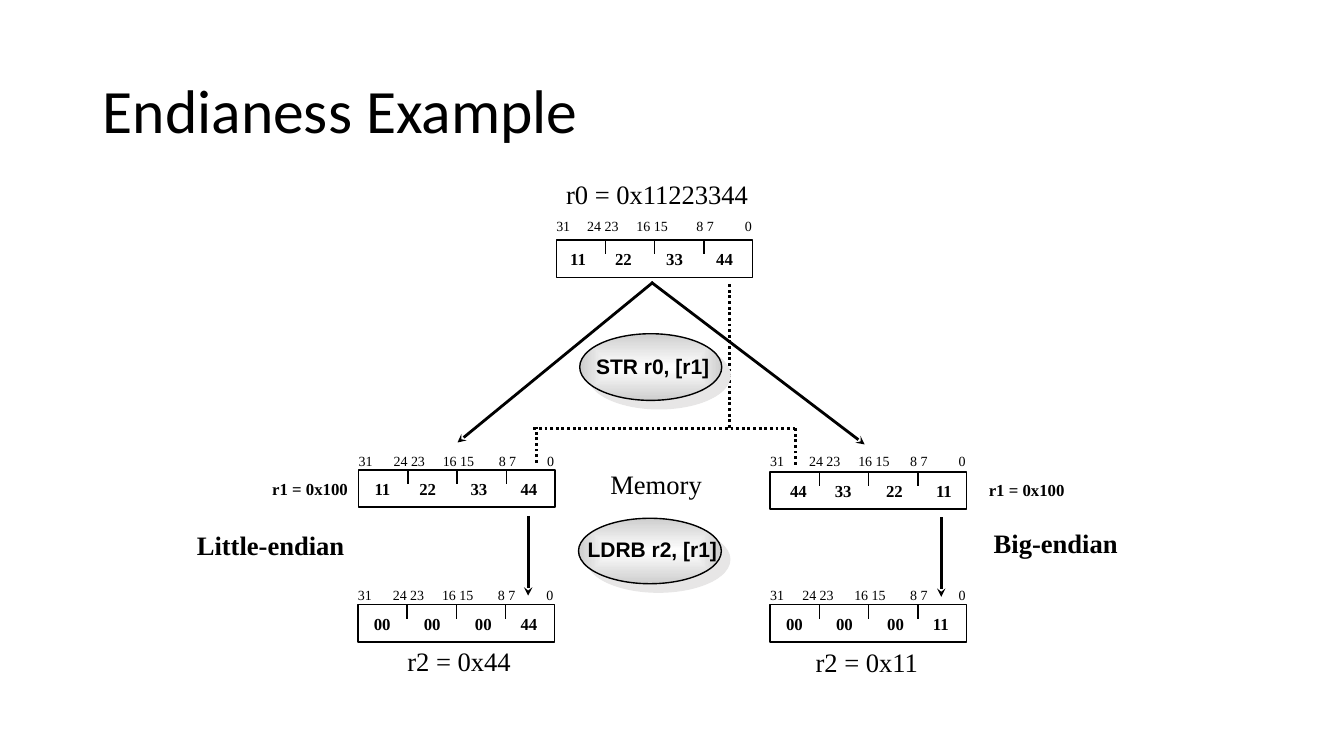
from dataclasses import dataclass

from lxml import etree
from pptx import Presentation
from pptx.dml.color import RGBColor
from pptx.enum.dml import MSO_LINE
from pptx.enum.shapes import MSO_CONNECTOR, MSO_SHAPE
from pptx.enum.text import MSO_ANCHOR, PP_ALIGN
from pptx.oxml.ns import qn
from pptx.util import Cm, Pt

BLACK = RGBColor(0x00, 0x00, 0x00)
WHITE = RGBColor(0xFF, 0xFF, 0xFF)
GRAY = RGBColor(0xCE, 0xCE, 0xCE)
SHADE = RGBColor(0xE7, 0xE6, 0xE6)
SERIF = "Times New Roman"
LEFT, CENTER = PP_ALIGN.LEFT, PP_ALIGN.CENTER
TOP, MIDDLE = MSO_ANCHOR.TOP, MSO_ANCHOR.MIDDLE
STRAIGHT = MSO_CONNECTOR.STRAIGHT
RECT, OVAL = MSO_SHAPE.RECTANGLE, MSO_SHAPE.OVAL
DOTTED = MSO_LINE.ROUND_DOT

# All lengths below are in centimetres.
REG_W, REG_H = 4.95, 0.94
TICK_GAP, TICK_H = 1.24, 0.36
PAD_X, PAD_Y = 0.25, 0.13
BIT_ENDS = (3.53, 4.75)
EVEN_TABS = (1.13, 2.42, 3.68)
ZERO_TABS = (1.26, 2.55, 3.7)


@dataclass
class Label:
    text: str
    x: float
    y: float
    w: float
    h: float
    size: float
    bold: bool = False
    font: str = SERIF
    align: PP_ALIGN = CENTER
    anchor: MSO_ANCHOR = TOP
    pad: tuple[float, float] = (0, 0.08)
    space: float = 0.88
    tabs: tuple[float, ...] = ()


@dataclass
class Reg:
    """A 32-bit register or memory word: bit numbers above four bytes."""
    x: float
    y: float
    data: str
    tabs: tuple[float, ...]
    bits: tuple[float, float]
    lift: float = 0.53
    shift: float = 0.15


@dataclass
class Line:
    x1: float
    y1: float
    x2: float
    y2: float
    width: float = 2
    arrow: bool = False
    dots: bool = False


@dataclass
class Bubble:
    x: float
    y: float
    w: float
    h: float
    code: Label


REGS = [
    Reg(14.02, 6.05, "11 22 33 44", EVEN_TABS, (0.78, 2.02), 0.64, 0.1),
    Reg(9.04, 11.84, "11 22 33 44", EVEN_TABS, (0.88, 2.12)),
    Reg(19.41, 11.89, "44 33 22 11", EVEN_TABS, (0.98, 2.22), 0.58, 0.25),
    Reg(9.02, 15.24, "00 00 00 44", ZERO_TABS, (0.88, 2.12)),
    Reg(19.41, 15.24, "00 00 00 11", ZERO_TABS, (0.81, 2.12)),
]
DOTS = [
    Line(18.39, 7.16, 18.39, 10.8, dots=True),
    Line(13.44, 10.8, 20.07, 10.8, dots=True),
    Line(13.51, 11.66, 13.51, 10.77, dots=True),
    Line(20.04, 11.71, 20.04, 10.77, dots=True),
]
ARROWS = [
    Line(13.31, 13, 13.31, 15.01, arrow=True),
    Line(23.72, 13.03, 23.72, 15.04, arrow=True),
    Line(16.46, 7.11, 11.53, 11.15, arrow=True),
    Line(16.41, 7.11, 21.79, 11.2, arrow=True),
]
BUBBLES = [
    Bubble(14.61, 8.41, 3.58, 1.68,
           Label("STR r0, [r1]", 14.86, 8.94, 3.18, 0.71, 15, True, "Arial",
                 pad=(0, 0.05), space=0.9)),
    Bubble(14.58, 13.06, 3.6, 1.65,
           Label("LDRB r2, [r1]", 14.66, 13.54, 3.56, 0.69, 15, True, "Arial",
                 pad=(0, 0.05), space=0.9)),
]
LABELS = [
    Label("Endianess Example", 2.34, 1.02, 29.21, 3.68, 44, font="Calibri",
          align=LEFT, anchor=MIDDLE, pad=(PAD_X, PAD_Y), space=0.9),
    Label("r0 = 0x11223344", 13.97, 4.5, 5.18, 0.86, 19),
    Label("Big-endian", 24.66, 13.31, 3.89, 0.86, 19, True),
    Label("Little-endian", 4.75, 13.36, 4.14, 0.86, 19, True),
    Label("r1 = 0x100", 6.53, 12.04, 2.57, 0.61, 12, True, space=0.9),
    Label("r1 = 0x100", 24.59, 12.07, 2.57, 0.61, 12, True, space=0.9),
    Label("r2 = 0x44", 9.98, 16.28, 3.18, 0.86, 19),
    Label("r2 = 0x11", 20.27, 16.31, 3.15, 0.86, 19),
    Label("Memory", 15.19, 11.81, 2.69, 0.86, 19),
]


def add_label(shapes, label: Label) -> None:
    box = shapes.add_textbox(Cm(label.x), Cm(label.y), Cm(label.w), Cm(label.h))
    frame = box.text_frame
    frame.word_wrap = True
    frame.vertical_anchor = label.anchor
    frame.margin_left = frame.margin_right = Cm(label.pad[0])
    frame.margin_top = frame.margin_bottom = Cm(label.pad[1])
    frame.text = label.text
    para = frame.paragraphs[0]
    para.alignment = label.align
    para.line_spacing = label.space
    if label.tabs:
        stops = etree.SubElement(para._p.get_or_add_pPr(), qn("a:tabLst"))
        for pos in label.tabs:
            etree.SubElement(stops, qn("a:tab"), pos=str(Cm(pos)), algn="l")
    font = para.runs[0].font
    font.name, font.size, font.bold = label.font, Pt(label.size), label.bold
    font.color.rgb = BLACK


def add_line(shapes, line: Line) -> None:
    link = shapes.add_connector(
        STRAIGHT, Cm(line.x1), Cm(line.y1), Cm(line.x2), Cm(line.y2))
    link.line.color.rgb = BLACK
    link.line.width = Pt(line.width)
    if line.dots:
        link.line.dash_style = DOTTED
    if line.arrow:
        etree.SubElement(link.line._get_or_add_ln(), qn("a:tailEnd"), type="stealth")
    etree.SubElement(link._element.spPr, qn("a:effectLst"))


def add_outline(shapes, kind: MSO_SHAPE, x: float, y: float, w: float, h: float):
    shape = shapes.add_shape(kind, Cm(x), Cm(y), Cm(w), Cm(h))
    shape.fill.background()
    shape.line.color.rgb = BLACK
    shape.line.width = Pt(1)
    shape.shadow.inherit = False
    return shape


def add_reg(shapes, reg: Reg) -> None:
    add_outline(shapes, RECT, reg.x, reg.y, REG_W, REG_H)
    for i in (1, 2, 3):
        x = reg.x + i * TICK_GAP
        add_line(shapes, Line(x, reg.y, x, reg.y + TICK_H, 1))
    add_label(shapes, Label(
        "31\t24 23\t16 15\t8 7\t0", reg.x - PAD_X, reg.y - reg.lift, 5.59, 0.66, 10,
        align=LEFT, pad=(PAD_X, PAD_Y), space=0.9, tabs=reg.bits + BIT_ENDS))
    add_label(shapes, Label(
        "\t".join(reg.data.split()), reg.x + reg.shift, reg.y + 0.14, 4.83, 0.71, 12,
        True, align=LEFT, pad=(PAD_X, PAD_Y), space=0.9, tabs=reg.tabs))


def add_bubble(shapes, bubble: Bubble) -> None:
    """Draw an oval with a radial gradient and a hard shadow, then its code."""
    oval = add_outline(shapes, OVAL, bubble.x, bubble.y, bubble.w, bubble.h)
    oval.fill.gradient()
    for stop, color, pos in zip(oval.fill.gradient_stops, (WHITE, GRAY), (0, 1)):
        stop.color.rgb, stop.position = color, pos
    props = oval._element.spPr
    lin = props.find(".//" + qn("a:lin"))
    way = etree.Element(qn("a:path"), path="shape")
    etree.SubElement(way, qn("a:fillToRect"), dict.fromkeys("ltrb", "50000"))
    lin.getparent().replace(lin, way)
    shade = etree.SubElement(
        props.find(qn("a:effectLst")), qn("a:outerShdw"),
        dist=str(Pt(8.5)), dir="2700000", algn="ctr", rotWithShape="0")
    etree.SubElement(shade, qn("a:srgbClr"), val=str(SHADE))
    add_label(shapes, bubble.code)


def main() -> None:
    deck = Presentation()
    deck.slide_width, deck.slide_height = Cm(33.87), Cm(19.05)
    shapes = deck.slides.add_slide(deck.slide_layouts[6]).shapes
    for draw, items in ((add_label, LABELS), (add_reg, REGS), (add_line, DOTS),
                        (add_bubble, BUBBLES), (add_line, ARROWS)):
        for item in items:
            draw(shapes, item)
    deck.save("out.pptx")


if __name__ == "__main__":
    main()
